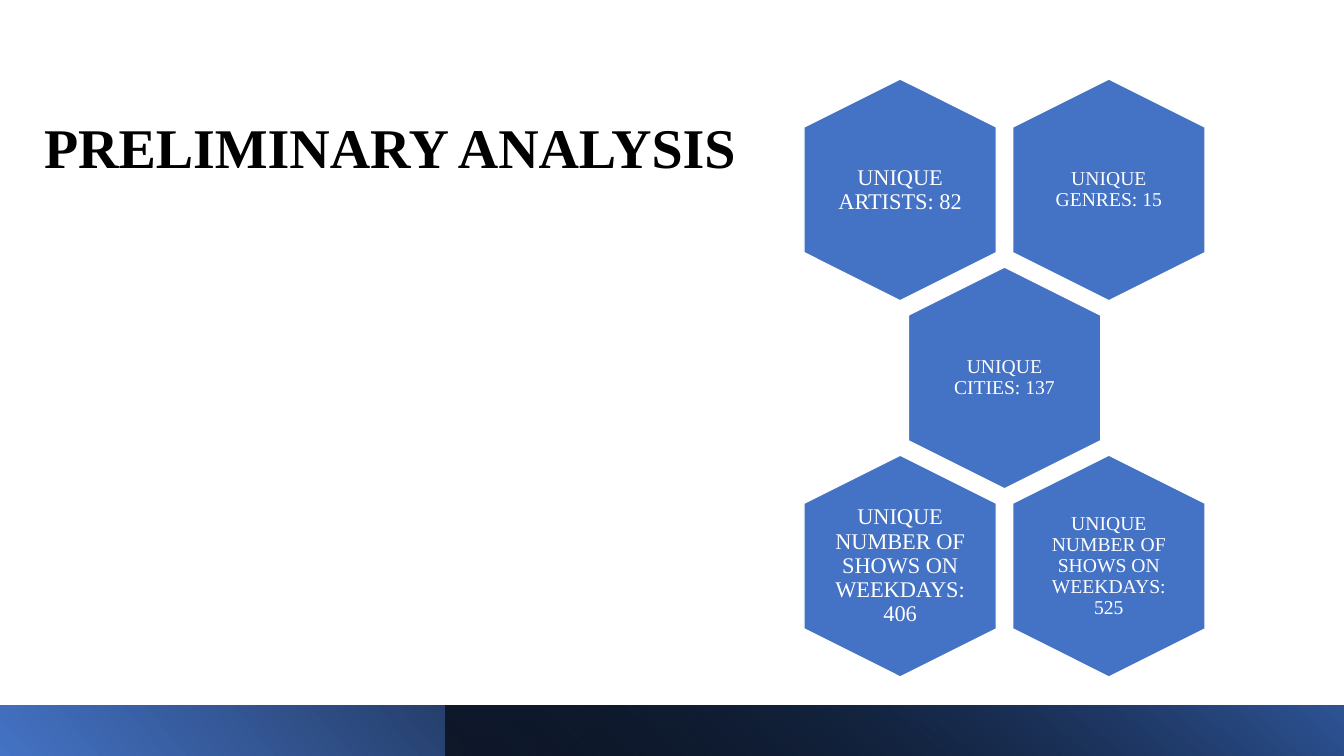
from dataclasses import dataclass

from lxml.etree import SubElement
from pptx import Presentation
from pptx.dml.color import RGBColor
from pptx.enum.shapes import MSO_SHAPE
from pptx.enum.text import MSO_ANCHOR, PP_ALIGN
from pptx.oxml.ns import qn
from pptx.util import Cm, Pt


@dataclass(frozen=True)
class Theme:
    font: str = "Times New Roman"
    accent: RGBColor = RGBColor(0x44, 0x72, 0xC4)
    deep: RGBColor = RGBColor(0x2F, 0x55, 0x97)
    dark: RGBColor = RGBColor(0, 0, 0)
    light: RGBColor = RGBColor(255, 255, 255)
    title_size: int = 40
    large_size: int = 16
    small_size: int = 14


THEME = Theme()
WIDTH, HEIGHT = 33.87, 19.05
HEX_LENGTH, HEX_BREADTH = 5.59, 4.85
COLUMN_STEP, ROW_STEP = 5.26, 4.74
LABEL_WIDTH, LABEL_HEIGHT = 3.35, 3.84
FACTS = [
    (0, 0, "UNIQUE ARTISTS: 82", THEME.large_size, 0),
    (1, 0, "UNIQUE GENRES: 15", THEME.small_size, 0.15),
    (0.5, 1, "UNIQUE CITIES: 137", THEME.small_size, 0.15),
    (0, 2, "UNIQUE NUMBER OF SHOWS ON WEEKDAYS: 406", THEME.large_size, 0),
    (1, 2, "UNIQUE NUMBER OF SHOWS ON WEEKDAYS: 525", THEME.small_size, 0.15),
]


def set_all(obj, values):
    for name, value in values.items():
        setattr(obj, name, value)


def add_text(s, box, text, frame, paragraph, font):
    tf = s.shapes.add_textbox(*map(Cm, box)).text_frame
    set_all(tf, {"word_wrap": True, **frame})
    p = tf.paragraphs[0]
    set_all(p, {"line_spacing": 0.9, **paragraph})
    r = p.add_run()
    r.text = text
    color = font.pop("color")
    set_all(r.font, {"name": THEME.font, **font})
    r.font.color.rgb = color


def add_title(s, box):
    add_text(s, box, "PRELIMINARY ANALYSIS",
             {"vertical_anchor": MSO_ANCHOR.BOTTOM}, {},
             {"size": Pt(THEME.title_size), "bold": True, "color": THEME.dark})


def add_bar(s, box, stops, angle, rotation=0):
    sp = s.shapes.add_shape(MSO_SHAPE.RECTANGLE, *map(Cm, box))
    sp.shadow.inherit = False
    sp.rotation = rotation
    sp.line.fill.background()
    sp._element.spPr.find(qn("a:xfrm")).set("flipH", "1")
    sp.fill.gradient()
    sp.fill.gradient_angle = angle
    for stop, (position, color, alpha) in zip(sp.fill.gradient_stops, stops):
        stop.position = position
        stop.color.rgb = color
        if alpha < 100:
            srgb = stop._gs.find(qn("a:srgbClr"))
            SubElement(srgb, qn("a:alpha")).set("val", str(alpha * 1000))


def add_footer(s, box):
    left, top, width, height = box
    inset = 11.22
    add_bar(s, box, [(0, THEME.accent, 100), (0.78, THEME.dark, 100)], 320, 180)
    add_bar(s, (left + inset, top, width - inset, height),
            [(0, THEME.dark, 63), (1, THEME.deep, 100)], 130)


def add_fact(s, center_x, center_y, text, size, inset):
    sp = s.shapes.add_shape(
        MSO_SHAPE.HEXAGON, Cm(center_x - HEX_LENGTH / 2),
        Cm(center_y - HEX_BREADTH / 2), Cm(HEX_LENGTH), Cm(HEX_BREADTH))
    sp.shadow.inherit = False
    sp.rotation = 90
    sp.adjustments[0] = 0.25
    sp.fill.solid()
    sp.fill.fore_color.rgb = THEME.accent
    sp.line.color.rgb = THEME.light
    sp.line.width = Pt(1)
    margins = {f"margin_{side}": Cm(inset)
               for side in ("left", "top", "right", "bottom")}
    box = (center_x - LABEL_WIDTH / 2, center_y - LABEL_HEIGHT / 2,
           LABEL_WIDTH, LABEL_HEIGHT)
    add_text(s, box, text, {"vertical_anchor": MSO_ANCHOR.MIDDLE, **margins},
             {"alignment": PP_ALIGN.CENTER},
             {"size": Pt(size), "color": THEME.light})


def add_honeycomb(s, box):
    left, top, width, height = box
    first_x = left + (width - COLUMN_STEP) / 2
    first_y = top + height / 2 - ROW_STEP
    for column, row, text, size, inset in FACTS:
        add_fact(s, first_x + column * COLUMN_STEP, first_y + row * ROW_STEP,
                 text, size, inset)


def main():
    prs = Presentation()
    set_all(prs, {"slide_width": Cm(WIDTH), "slide_height": Cm(HEIGHT)})
    s = prs.slides.add_slide(prs.slide_layouts[6])
    add_title(s, (0.86, 0.05, 25.83, 4.62))
    add_footer(s, (0, 17.78, WIDTH, 1.27))
    add_honeycomb(s, (20.26, 1.99, 10.11, 15.07))
    prs.save("out.pptx")


if __name__ == "__main__":
    main()
